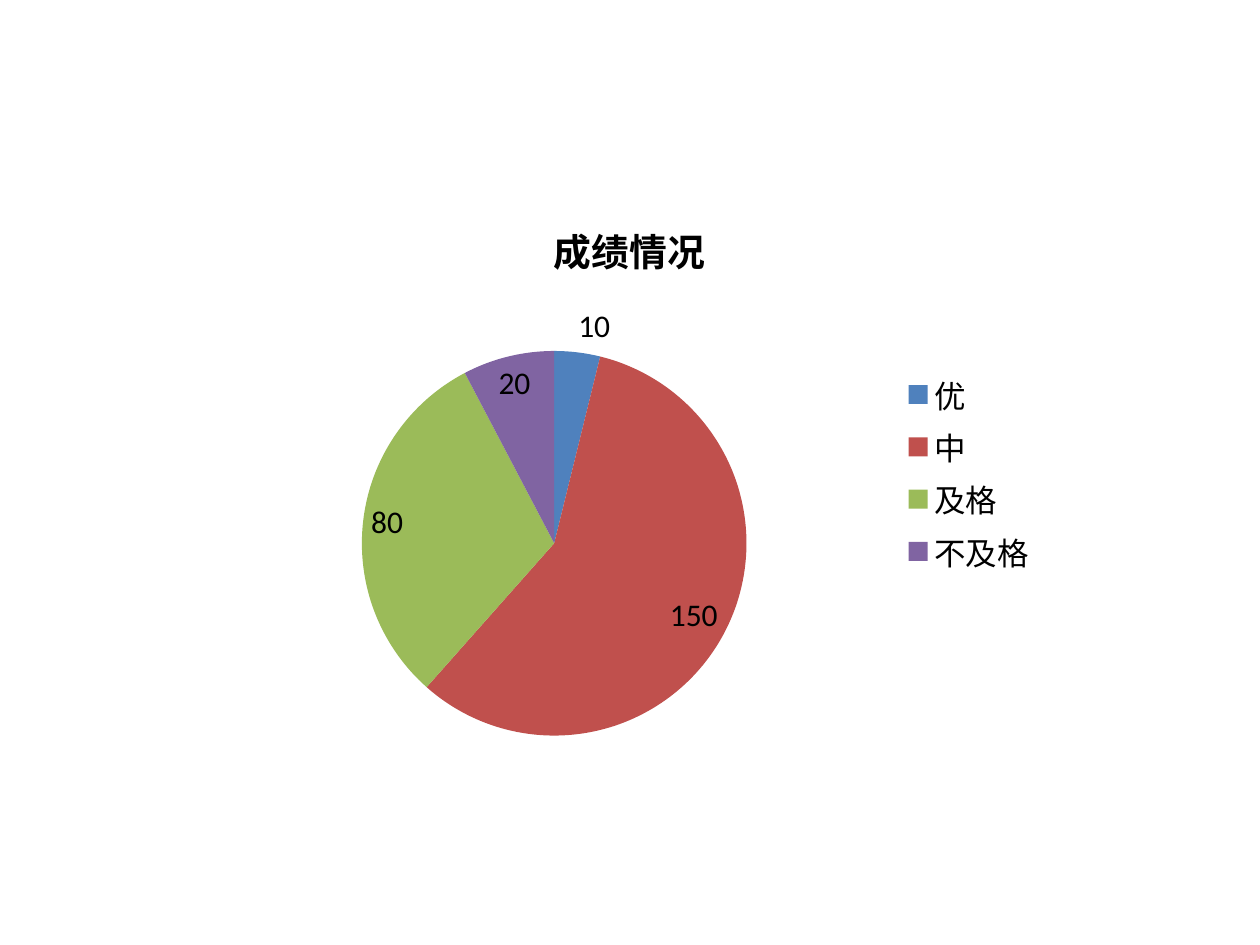
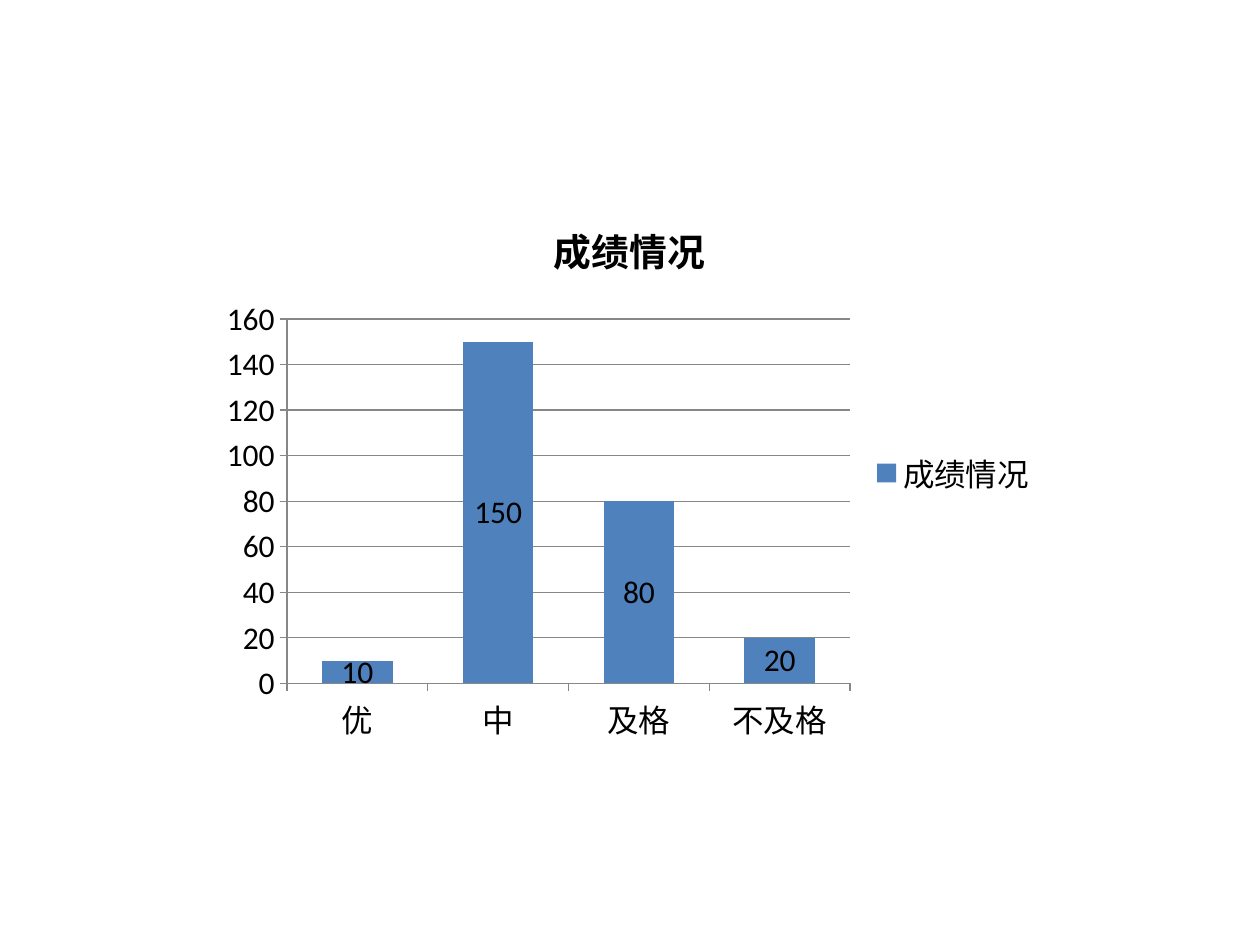
from dataclasses import dataclass

from pptx import Presentation
from pptx.chart.chart import Chart
from pptx.chart.data import CategoryChartData
from pptx.dml.color import RGBColor
from pptx.enum.chart import XL_CHART_TYPE, XL_LABEL_POSITION, XL_LEGEND_POSITION, XL_TICK_MARK
from pptx.util import Emu, Pt

PIE = XL_CHART_TYPE.PIE
STACKED = XL_CHART_TYPE.COLUMN_STACKED
BEST_FIT = XL_LABEL_POSITION.BEST_FIT
CENTER = XL_LABEL_POSITION.CENTER
RIGHT = XL_LEGEND_POSITION.RIGHT
OUTSIDE = XL_TICK_MARK.OUTSIDE

PX_PER_INCH = 126
FONT = "Calibri"
BODY_SIZE = 18
TITLE_SIZE = 21.6
COLORS = {
    "text": "000000",
    "axis": "878787",
    "优": "4F81BD",
    "中": "C0504D",
    "及格": "9BBB59",
    "不及格": "8064A2",
}
HEADING = "成绩情况"
GRADES = {"优": 10, "中": 150, "及格": 80, "不及格": 20}


@dataclass(frozen=True)
class GradeChart:
    kind: XL_CHART_TYPE
    label_position: XL_LABEL_POSITION
    left: int = 210
    top: int = 193
    width: int = 840
    height: int = 560


def px(length: int) -> Emu:
    return Emu(round(length * 914400 / PX_PER_INCH))


def color(name: str) -> RGBColor:
    return RGBColor.from_string(COLORS[name])


def style_font(font, size: float, bold: bool = False) -> None:
    font.name = FONT
    font.size = Pt(size)
    font.bold = bold
    font.color.rgb = color("text")


def paint(fill, name: str) -> None:
    fill.solid()
    fill.fore_color.rgb = color(name)


def style_pie(chart: Chart) -> None:
    plot = chart.plots[0]
    plot.vary_by_categories = True
    for index, grade in enumerate(GRADES):
        paint(plot.series[0].points[index].format.fill, grade)


def style_columns(chart: Chart) -> None:
    plot = chart.plots[0]
    plot.vary_by_categories = False
    plot.gap_width = 100
    plot.overlap = 100
    paint(plot.series[0].format.fill, "优")
    for axis in (chart.category_axis, chart.value_axis):
        axis.major_tick_mark = OUTSIDE
        axis.format.line.color.rgb = color("axis")
    chart.value_axis.has_major_gridlines = True
    chart.value_axis.major_gridlines.format.line.color.rgb = color("axis")


def add_grade_chart(slide, spec: GradeChart) -> None:
    grades = CategoryChartData()
    grades.categories = list(GRADES)
    grades.add_series(HEADING, list(GRADES.values()))
    chart = slide.shapes.add_chart(
        spec.kind, px(spec.left), px(spec.top), px(spec.width), px(spec.height), grades
    ).chart
    style_font(chart.font, BODY_SIZE)

    chart.has_title = True
    heading = chart.chart_title.text_frame
    heading.text = HEADING
    style_font(heading.paragraphs[0].runs[0].font, TITLE_SIZE, bold=True)
    chart.chart_title.include_in_layout = False

    chart.has_legend = True
    chart.legend.position = RIGHT
    chart.legend.include_in_layout = False

    labels = chart.plots[0].series[0].data_labels
    labels.show_value = True
    labels.position = spec.label_position
    style_font(labels.font, BODY_SIZE)

    if spec.kind == PIE:
        style_pie(chart)
    else:
        style_columns(chart)


def main() -> None:
    deck = Presentation()
    deck.slide_width = px(1260)
    deck.slide_height = px(945)
    for spec in (GradeChart(PIE, BEST_FIT), GradeChart(STACKED, CENTER)):
        add_grade_chart(deck.slides.add_slide(deck.slide_layouts[6]), spec)
    deck.save("out.pptx")


if __name__ == "__main__":
    main()
